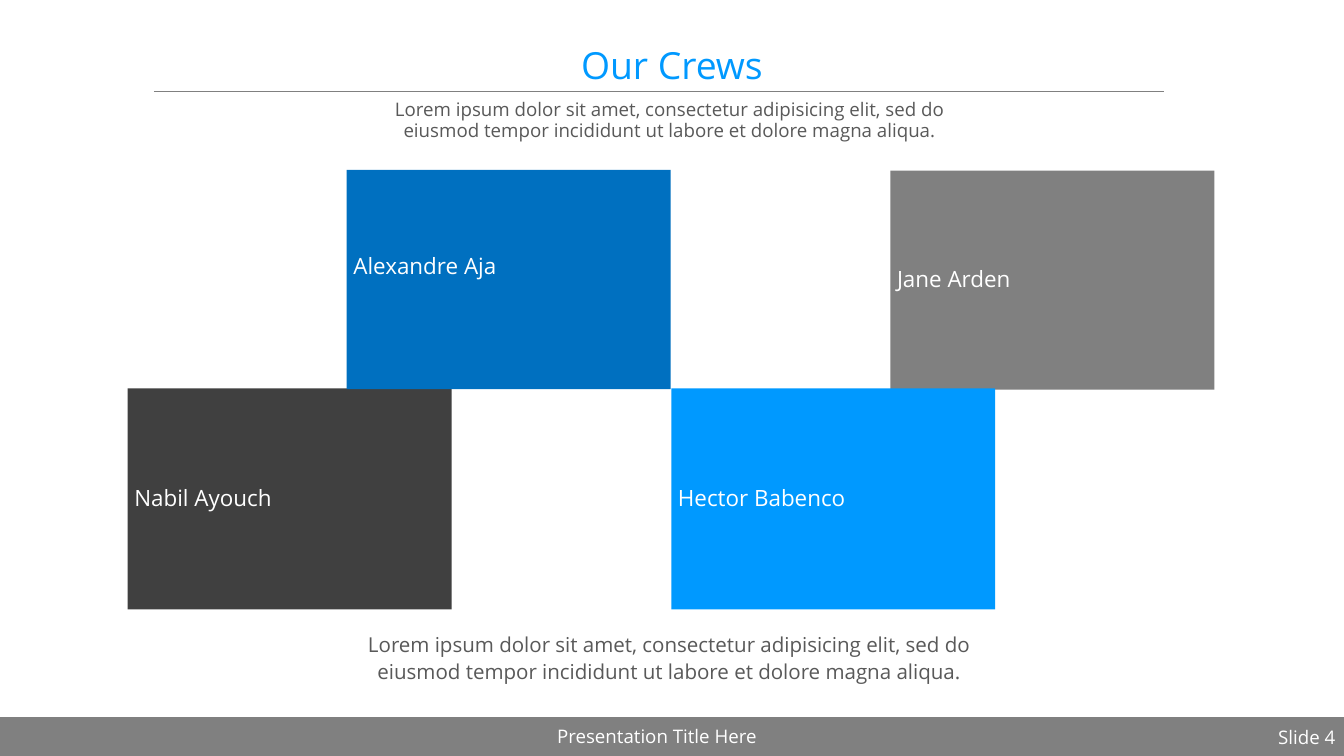
from lxml.etree import SubElement
from pptx import Presentation
from pptx.dml.color import RGBColor
from pptx.enum.shapes import MSO_CONNECTOR, MSO_SHAPE
from pptx.enum.text import MSO_ANCHOR, PP_ALIGN
from pptx.oxml.ns import qn
from pptx.util import Inches, Pt

WHITE = RGBColor(0xFF, 0xFF, 0xFF)
BRIGHT_BLUE = RGBColor(0x00, 0x99, 0xFF)
DEEP_BLUE = RGBColor(0x00, 0x70, 0xC0)
GRAY = RGBColor(0x80, 0x80, 0x80)
CHARCOAL = RGBColor(0x40, 0x40, 0x40)
TEXT_GRAY = RGBColor(0x59, 0x59, 0x59)

LOREM = (
    "Lorem ipsum dolor sit amet, consectetur adipisicing elit, sed do \v"
    "eiusmod tempor incididunt ut labore et dolore magna aliqua. "
)

deck = Presentation()
deck.slide_width = Inches(20)
deck.slide_height = Inches(11.25)
page = deck.slides.add_slide(deck.slide_layouts[6])


def write(shape, text, size, color, anchor=MSO_ANCHOR.TOP, **paragraph_format):
    frame = shape.text_frame
    frame.word_wrap = True
    frame.vertical_anchor = anchor
    para = frame.paragraphs[0]
    para.text = text
    for name, value in paragraph_format.items():
        setattr(para, name, value)
    for span in para.runs:
        for name, value in {"name": "Open Sans", "size": Pt(size)}.items():
            setattr(span.font, name, value)
        span.font.color.rgb = color


def add_block(left, top, width, height, color):
    block = page.shapes.add_shape(
        MSO_SHAPE.RECTANGLE, Inches(left), Inches(top), Inches(width), Inches(height)
    )
    block.shadow.inherit = False
    block.fill.solid()
    block.fill.fore_color.rgb = color
    block.line.fill.background()
    return block


# Footer bar
add_block(0, 10.67, 20, 0.58, GRAY)

# Rule under the title
rule = page.shapes.add_connector(
    MSO_CONNECTOR.STRAIGHT, Inches(2.29), Inches(1.36), Inches(17.32), Inches(1.36)
)
rule.line.color.rgb = GRAY
rule.line.width = Pt(0.5)
SubElement(rule.line._get_or_add_ln().getparent(), qn("a:effectLst"))

# Footer texts, title, subtitle and closing text
center = {"alignment": PP_ALIGN.CENTER}
texts = [
    (6.4, 10.74, 6.75, 0.38, "Presentation Title Here", 20, WHITE, center),
    (15.47, 10.75, 4.5, 0.37, "Slide 4", 20, WHITE, {"alignment": PP_ALIGN.RIGHT}),
    (0.35, 0.51, 19.3, 0.84, "Our Crews", 40, BRIGHT_BLUE,
     {**center, "line_spacing": 0.9, "anchor": MSO_ANCHOR.BOTTOM}),
    (0.35, 1.43, 19.3, 0.95, LOREM, 20, TEXT_GRAY,
     {**center, "line_spacing": 0.95, "space_before": Pt(15)}),
    (1.9, 9.34, 16.19, 0.97, LOREM, 22, TEXT_GRAY,
     {**center, "line_spacing": Pt(28), "space_before": Pt(15)}),
]
for left, top, width, height, text, size, color, text_format in texts:
    box = page.shapes.add_textbox(Inches(left), Inches(top), Inches(width), Inches(height))
    write(box, text, size, color, **text_format)

# Crew blocks: left, top, height, colour, name, bottom inset
crew = [
    (1.9, 5.78, 3.29, CHARCOAL, "Nabil Ayouch", 0.05),
    (5.16, 2.53, 3.26, DEEP_BLUE, "Alexandre Aja", 0.42),
    (13.25, 2.54, 3.26, GRAY, "Jane Arden", 0.05),
    (9.99, 5.78, 3.29, BRIGHT_BLUE, "Hector Babenco", 0.05),
]
for left, top, height, color, name, inset in crew:
    block = add_block(left, top, 4.82, height, color)
    block.text_frame.margin_bottom = Inches(inset)
    write(block, name, 24, WHITE, MSO_ANCHOR.MIDDLE, alignment=PP_ALIGN.LEFT,
          line_spacing=0.9, space_before=Pt(15))

deck.save("out.pptx")
